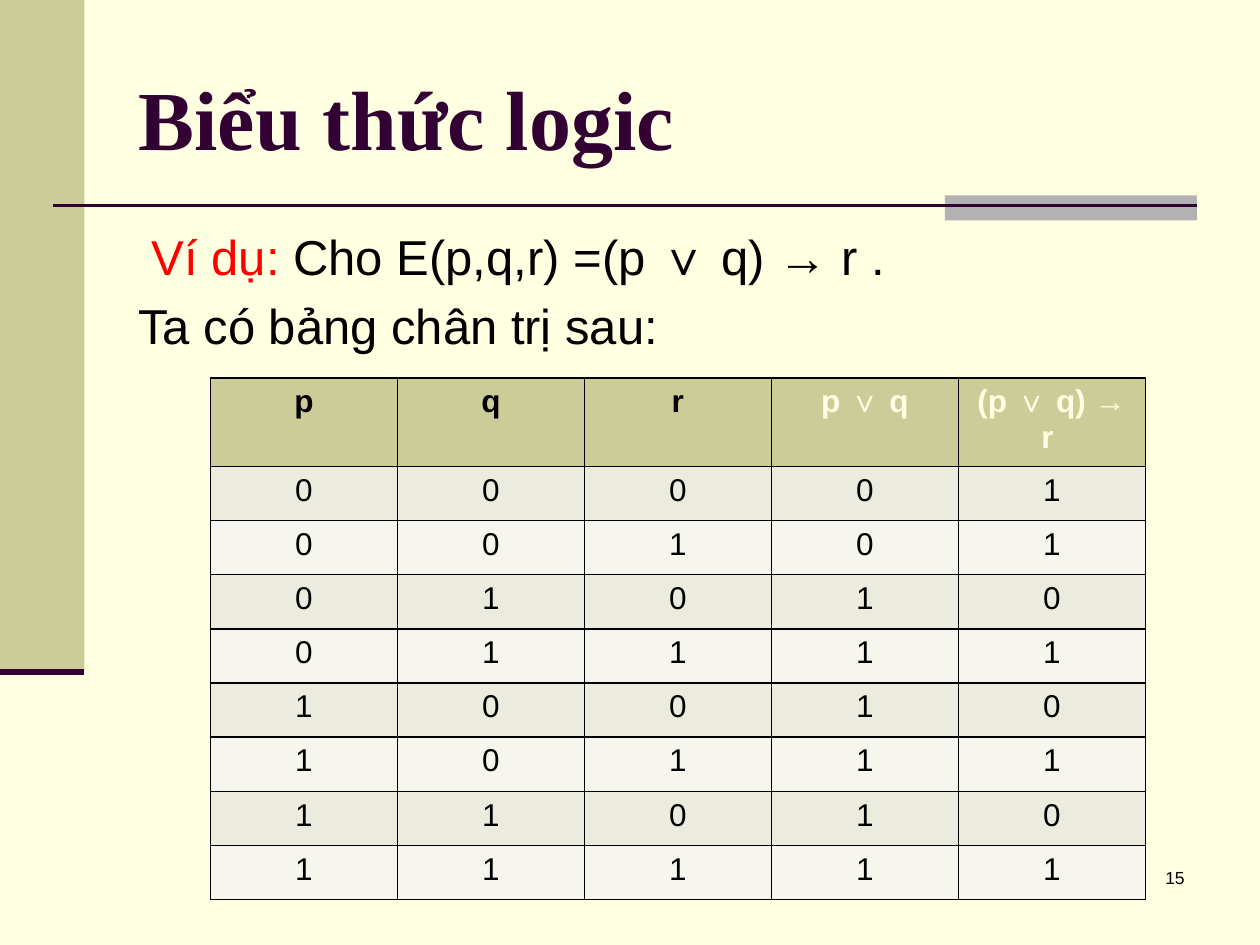
from dataclasses import dataclass
from itertools import product

from lxml.etree import SubElement
from pptx import Presentation
from pptx.dml.color import RGBColor
from pptx.enum.shapes import MSO_CONNECTOR, MSO_SHAPE
from pptx.enum.text import MSO_ANCHOR, PP_ALIGN
from pptx.oxml.ns import qn
from pptx.util import Inches, Pt


@dataclass(frozen=True)
class Theme:
    background: str = "FFFFE1"
    olive: str = "CCCC99"
    gray: str = "B2B2B2"
    plum: str = "330033"
    red: str = "FF0000"
    black: str = "000000"
    bands: tuple[str, str] = ("ECECDE", "F6F6EF")
    body_font: str = "Arial"
    title_font: str = "Times New Roman"
    title_size: float = 48
    body_size: float = 28
    table_size: float = 18
    number_size: float = 10


@dataclass(frozen=True)
class Bar:
    left: float
    top: float
    width: float
    height: float
    color: str


@dataclass(frozen=True)
class Rule:
    left: float
    right: float
    y: float
    weight: float


THEME = Theme()
BARS = [
    Bar(0, 0, 0.67, 5.33, THEME.olive),
    Bar(7.5, 1.55, 2, 0.2, THEME.gray),
]
RULES = [Rule(0.42, 9.5, 1.63, 1.5), Rule(0, 0.67, 5.33, 3.5)]
HEADERS = ["p", "q", "r", "p ∨ q", "(p ∨ q) → r "]
INPUT_COUNT = 3
HEADER_HEIGHT, ROW_HEIGHT = 0.66, 0.43


def add_text(paragraph, text: str, *, size: float, color: str = THEME.black,
             font: str = THEME.body_font, bold: bool = False, align=PP_ALIGN.LEFT) -> None:
    paragraph.alignment = align
    run = paragraph.add_run()
    run.text = text
    run.font.size = Pt(size)
    run.font.name = font
    run.font.bold = bold
    run.font.color.rgb = RGBColor.from_string(color)


def add_bar(slide, bar: Bar) -> None:
    shape = slide.shapes.add_shape(
        MSO_SHAPE.RECTANGLE, Inches(bar.left), Inches(bar.top), Inches(bar.width), Inches(bar.height))
    shape.shadow.inherit = False
    shape.fill.solid()
    shape.fill.fore_color.rgb = RGBColor.from_string(bar.color)
    shape.line.fill.background()


def add_rule(slide, rule: Rule) -> None:
    connector = slide.shapes.add_connector(
        MSO_CONNECTOR.STRAIGHT, Inches(rule.left), Inches(rule.y), Inches(rule.right), Inches(rule.y))
    connector.line.color.rgb = RGBColor.from_string(THEME.plum)
    connector.line.width = Pt(rule.weight)
    SubElement(connector._element.spPr, qn("a:effectLst"))


def add_text_frame(slide, left: float, top: float, width: float, height: float):
    box = slide.shapes.add_textbox(Inches(left), Inches(top), Inches(width), Inches(height))
    box.text_frame.word_wrap = True
    return box.text_frame


def set_hanging(paragraph, indent: float) -> None:
    properties = paragraph._p.get_or_add_pPr()
    properties.set("marL", str(Inches(indent)))
    properties.set("indent", str(-Inches(indent)))
    paragraph.space_before = Pt(0.2 * THEME.body_size)


def format_cell(cell, text: str, fill: str, color: str, bold: bool) -> None:
    add_text(cell.text_frame.paragraphs[0], text, size=THEME.table_size,
             color=color, bold=bold, align=PP_ALIGN.CENTER)
    properties = cell._tc.get_or_add_tcPr()
    for side in ("lnL", "lnR", "lnT", "lnB"):
        border = SubElement(properties, qn(f"a:{side}"), w=str(Pt(1)))
        SubElement(SubElement(border, qn("a:solidFill")), qn("a:srgbClr"), val=THEME.black)
    cell.fill.solid()
    cell.fill.fore_color.rgb = RGBColor.from_string(fill)


def add_truth_table(slide) -> None:
    rows = [(p, q, r, p | q, int(not (p | q) or r))
            for p, q, r in product((0, 1), repeat=INPUT_COUNT)]
    height = HEADER_HEIGHT + ROW_HEIGHT * len(rows)
    table = slide.shapes.add_table(
        len(rows) + 1, len(HEADERS), Inches(1.67), Inches(3), Inches(7.42), Inches(height)).table
    for column in table.columns:
        column.width = Inches(7.42 / len(HEADERS))
    table.rows[0].height = Inches(HEADER_HEIGHT)
    for index, header in enumerate(HEADERS):
        color = THEME.black if index < INPUT_COUNT else THEME.background
        format_cell(table.cell(0, index), header, THEME.olive, color, True)
    for row_index, values in enumerate(rows, start=1):
        table.rows[row_index].height = Inches(ROW_HEIGHT)
        for index, value in enumerate(values):
            format_cell(table.cell(row_index, index), str(value),
                        THEME.bands[(row_index - 1) % 2], THEME.black, False)


def add_title(slide) -> None:
    title = slide.shapes.title
    title.left, title.top = Inches(1), Inches(0.3)
    title.width, title.height = Inches(8.5), Inches(1.25)
    title.text_frame.vertical_anchor = MSO_ANCHOR.MIDDLE
    add_text(title.text_frame.paragraphs[0], "Biểu thức logic", size=THEME.title_size,
             color=THEME.plum, font=THEME.title_font, bold=True)


def add_example(slide) -> None:
    frame = add_text_frame(slide, 1, 1.75, 8.5, 1.25)
    example, lead = frame.paragraphs[0], frame.add_paragraph()
    add_text(example, " Ví dụ: ", size=THEME.body_size, color=THEME.red)
    add_text(example, "Cho E(p,q,r) =(p ∨ q) → r . ", size=THEME.body_size)
    add_text(lead, "Ta có bảng chân trị sau:", size=THEME.body_size)
    for paragraph in (example, lead):
        set_hanging(paragraph, 0.38)


def main() -> None:
    presentation = Presentation()
    presentation.slide_width, presentation.slide_height = Inches(10), Inches(7.5)
    slide = presentation.slides.add_slide(presentation.slide_layouts[5])
    slide.background.fill.solid()
    slide.background.fill.fore_color.rgb = RGBColor.from_string(THEME.background)
    for bar in BARS:
        add_bar(slide, bar)
    for rule in RULES:
        add_rule(slide, rule)
    add_title(slide)
    add_example(slide)
    number_frame = add_text_frame(slide, 7.42, 6.83, 2.08, 0.5)
    add_text(number_frame.paragraphs[0], "15", size=THEME.number_size, align=PP_ALIGN.RIGHT)
    add_truth_table(slide)
    presentation.save("out.pptx")


main()
